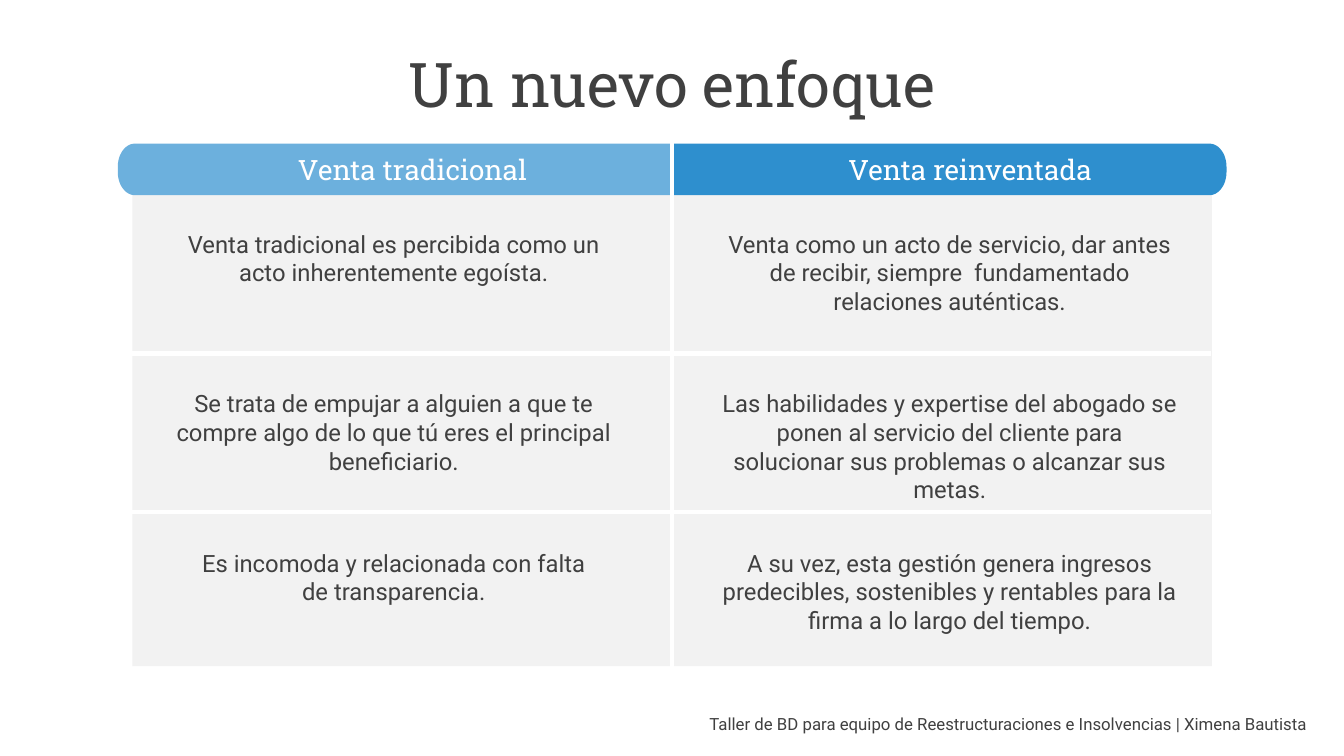
from dataclasses import dataclass

from lxml.etree import SubElement
from pptx import Presentation
from pptx.dml.color import RGBColor
from pptx.enum.shapes import MSO_CONNECTOR, MSO_SHAPE
from pptx.enum.text import MSO_ANCHOR, PP_ALIGN
from pptx.oxml.ns import qn
from pptx.util import Cm, Pt

TITLE = "Un nuevo enfoque"
FOOTER = "Taller de BD para equipo de Reestructuraciones e Insolvencias | Ximena Bautista"
COLUMNS = [
    {
        "heading": "Venta tradicional",
        "color": "6CB0DD",
        "side": -1,
        "heading_left": 7.26,
        "text_left": 3.94,
        "cells": [
            "Venta tradicional es percibida como un acto inherentemente egoísta.",
            "Se trata de empujar a alguien a que te compre algo de lo que tú eres el principal beneficiario.",
            "Es incomoda y relacionada con falta\nde transparencia.",
        ],
    },
    {
        "heading": "Venta reinventada",
        "color": "2E8FCE",
        "side": 1,
        "heading_left": 21.13,
        "text_left": 17.95,
        "cells": [
            "Venta como un acto de servicio, dar antes de recibir, siempre  fundamentado relaciones auténticas.",
            "Las habilidades y expertise del abogado se ponen al servicio del cliente para solucionar sus problemas o alcanzar sus metas.",
            "A su vez, esta gestión genera ingresos predecibles, sostenibles y rentables para la firma a lo largo del tiempo.",
        ],
    },
]


@dataclass(frozen=True)
class Theme:
    heading_font: str = "Roboto Slab"
    body_font: str = "Roboto"
    ink: str = "404040"
    panel: str = "F2F2F2"
    white: str = "FFFFFF"
    title_size: int = 44
    heading_size: int = 20
    body_size: int = 17
    footer_size: int = 12
    divider_width: int = 3


THEME = Theme()
MIDDLE = 16.94
PANEL_WIDTH, PANEL_TOP, PANEL_HEIGHT = 27.2, 4.92, 11.87
HEADER_TOP, HEADER_HEIGHT, HEADER_WIDTH = 3.62, 1.3, 13.97
CORNER_WIDTH, CORNER_HEIGHT = 0.43, 0.58
ROW_PITCH = 3.99
TEXT_TOP, TEXT_PITCH, TEXT_WIDTH, TEXT_HEIGHT = 5.66, 4.02, 11.97, 3
CURVE_STEPS = 12


def fill_plain(shape, color):
    shape.shadow.inherit = False
    shape.fill.solid()
    shape.fill.fore_color.rgb = RGBColor.from_string(color)
    shape.line.fill.background()


def add_text(slide, text, box, size, font, color=THEME.ink,
             alignment=PP_ALIGN.CENTER, anchor=MSO_ANCHOR.TOP, line_spacing=None):
    text_frame = slide.shapes.add_textbox(*map(Cm, box)).text_frame
    text_frame.word_wrap = True
    text_frame.vertical_anchor = anchor
    text_frame.text = text
    for paragraph in text_frame.paragraphs:
        paragraph.alignment = alignment
        paragraph.line_spacing = line_spacing
        for run in paragraph.runs:
            run.font.size = Pt(size)
            run.font.name = font
            run.font.color.rgb = RGBColor.from_string(color)


def add_divider(slide, start, end):
    connector = slide.shapes.add_connector(MSO_CONNECTOR.STRAIGHT, *map(Cm, start + end))
    connector.line.color.rgb = RGBColor.from_string(THEME.white)
    connector.line.width = Pt(THEME.divider_width)
    SubElement(connector._element.spPr, qn("a:effectLst"))


def corner_points():
    start, end = HEADER_WIDTH - CORNER_WIDTH, HEADER_WIDTH
    controls = [(start, 0), (start + CORNER_WIDTH * 0.55, 0),
                (end, CORNER_HEIGHT * 0.45), (end, CORNER_HEIGHT)]
    points = []
    for step in range(CURVE_STEPS + 1):
        t = step / CURVE_STEPS
        weights = ((1 - t) ** 3, 3 * t * (1 - t) ** 2, 3 * t ** 2 * (1 - t), t ** 3)
        points.append(tuple(sum(w * c[axis] for w, c in zip(weights, controls))
                            for axis in (0, 1)))
    return points


def add_header(slide, side, color):
    upper = corner_points()
    lower = [(x, HEADER_HEIGHT - y) for x, y in reversed(upper)]
    outline = [(0, 0)] + upper + lower + [(0, HEADER_HEIGHT)]
    points = [(Cm(MIDDLE + side * x), Cm(HEADER_TOP + y)) for x, y in outline]
    builder = slide.shapes.build_freeform(*points[0])
    builder.add_line_segments(points[1:], close=True)
    fill_plain(builder.convert_to_shape(), color)


def main():
    presentation = Presentation()
    presentation.slide_width, presentation.slide_height = Cm(33.87), Cm(19.05)
    slide = presentation.slides.add_slide(presentation.slide_layouts[6])

    panel = slide.shapes.add_shape(
        MSO_SHAPE.RECTANGLE, Cm(MIDDLE - PANEL_WIDTH / 2), Cm(PANEL_TOP),
        Cm(PANEL_WIDTH), Cm(PANEL_HEIGHT))
    fill_plain(panel, THEME.panel)
    for column in COLUMNS:
        add_header(slide, column["side"], column["color"])

    add_divider(slide, (MIDDLE, 3.2), (MIDDLE, 17.42))
    for row in (1, 2):
        y = PANEL_TOP + row * ROW_PITCH
        add_divider(slide, (30.53, y), (3.18, y))

    add_text(slide, TITLE, (2.34, 1.17, 29.2, 2.06), THEME.title_size,
             THEME.heading_font, anchor=MSO_ANCHOR.MIDDLE, line_spacing=0.9)
    for column in COLUMNS:
        add_text(slide, column["heading"], (column["heading_left"], 3.71, 7.5, 1.12),
                 THEME.heading_size, THEME.heading_font, THEME.white, PP_ALIGN.LEFT)
        for row, text in enumerate(column["cells"]):
            box = (column["text_left"], TEXT_TOP + row * TEXT_PITCH, TEXT_WIDTH, TEXT_HEIGHT)
            add_text(slide, text, box, THEME.body_size, THEME.body_font)
    add_text(slide, FOOTER, (12.55, 17.86, 20.65, 0.76), THEME.footer_size,
             THEME.body_font, alignment=PP_ALIGN.RIGHT)

    presentation.save("out.pptx")


if __name__ == "__main__":
    main()
